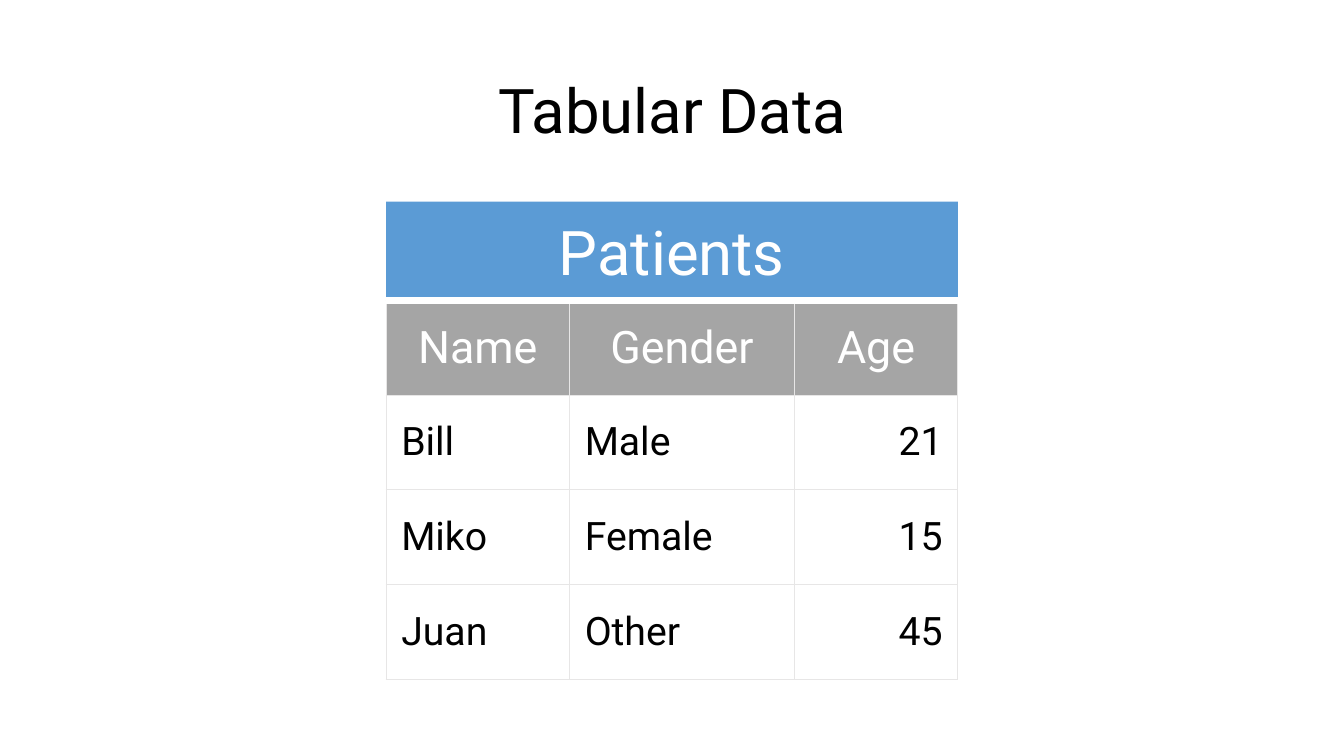
from lxml import etree
from pptx import Presentation
from pptx import util as u
from pptx.dml.color import RGBColor
from pptx.enum import shapes, text
from pptx.oxml.ns import qn

FONT = "Roboto"
COLORS = {
    "black": "000000",
    "white": "FFFFFF",
    "banner": "5B9BD5",
    "header": "A5A5A5",
    "border": "E7E6E6",
}
LEFT, BANNER_TOP, TABLE_TOP = 3.83, 2, 2.98
COL_WIDTHS = [1.82, 2.23, 1.62]
WIDTH = sum(COL_WIDTHS)
ROW_HEIGHT = 0.94
PATIENTS = [
    ["Name", "Gender", "Age"],
    ["Bill", "Male", "21"],
    ["Miko", "Female", "15"],
    ["Juan", "Other", "45"],
]


def rgb(name):
    return RGBColor.from_string(COLORS[name])


def write(tf, content, size, color, align=text.PP_ALIGN.CENTER):
    p = tf.paragraphs[0]
    p.alignment = align
    r = p.add_run()
    r.text = content
    r.font.name = FONT
    r.font.size = u.Pt(size)
    r.font.color.rgb = rgb(color)
    return p


def add_title(s, content):
    sp = s.shapes.title
    sp.left, sp.top = u.Inches(0.92), u.Inches(0.4)
    sp.width, sp.height = u.Inches(11.5), u.Inches(1.45)
    tf = sp.text_frame
    tf.vertical_anchor = text.MSO_ANCHOR.MIDDLE
    write(tf, content, 44, "black").line_spacing = 0.9


def set_borders(cell):
    tc_pr = cell._tc.get_or_add_tcPr()
    for i, side in enumerate(("lnL", "lnR", "lnT", "lnB")):
        ln = etree.Element(qn(f"a:{side}"), w=str(u.Pt(1)))
        fill = etree.SubElement(ln, qn("a:solidFill"))
        etree.SubElement(fill, qn("a:srgbClr"), val=COLORS["border"])
        tc_pr.insert(i, ln)


def fill_cell(cell, content, is_header, is_number):
    cell.vertical_anchor = text.MSO_ANCHOR.MIDDLE
    cell.fill.solid()
    cell.fill.fore_color.rgb = rgb("header" if is_header else "white")
    if is_header:
        write(cell.text_frame, content, 32, "white")
    else:
        cell.margin_left = cell.margin_right = u.Inches(0.15)
        cell.margin_top = cell.margin_bottom = u.Inches(0.15)
        align = text.PP_ALIGN.RIGHT if is_number else text.PP_ALIGN.LEFT
        write(cell.text_frame, content, 28, "black", align)
    set_borders(cell)


def add_data_table(s, rows):
    frame = s.shapes.add_table(
        len(rows), len(COL_WIDTHS), u.Inches(LEFT), u.Inches(TABLE_TOP),
        u.Inches(WIDTH), u.Inches(ROW_HEIGHT * len(rows)))
    table = frame.table
    table.horz_banding = False
    for col, width in zip(table.columns, COL_WIDTHS):
        col.width = u.Inches(width)
    for i, row in enumerate(rows):
        table.rows[i].height = u.Inches(ROW_HEIGHT)
        for j, content in enumerate(row):
            fill_cell(table.cell(i, j), content, i == 0, content.isdigit())


def add_banner(s, content):
    sp = s.shapes.add_shape(
        shapes.MSO_SHAPE.RECTANGLE, u.Inches(LEFT), u.Inches(BANNER_TOP),
        u.Inches(WIDTH), u.Inches(TABLE_TOP - BANNER_TOP))
    sp.shadow.inherit = False
    sp.fill.solid()
    sp.fill.fore_color.rgb = rgb("banner")
    sp.line.fill.background()
    sp.text_frame.vertical_anchor = text.MSO_ANCHOR.MIDDLE
    write(sp.text_frame, content, 44, "white")


def add_divider(s):
    line = s.shapes.add_connector(
        shapes.MSO_CONNECTOR.STRAIGHT, u.Inches(LEFT), u.Inches(TABLE_TOP),
        u.Inches(LEFT + WIDTH), u.Inches(TABLE_TOP))
    line.line.color.rgb = rgb("white")
    line.line.width = u.Pt(4.5)
    etree.SubElement(line._element.spPr, qn("a:effectLst"))


def main():
    prs = Presentation()
    prs.slide_width, prs.slide_height = u.Inches(13.33), u.Inches(7.5)
    s = prs.slides.add_slide(prs.slide_layouts[5])
    add_title(s, "Tabular Data")
    add_data_table(s, PATIENTS)
    add_banner(s, "Patients")
    add_divider(s)
    prs.save("out.pptx")


main()
